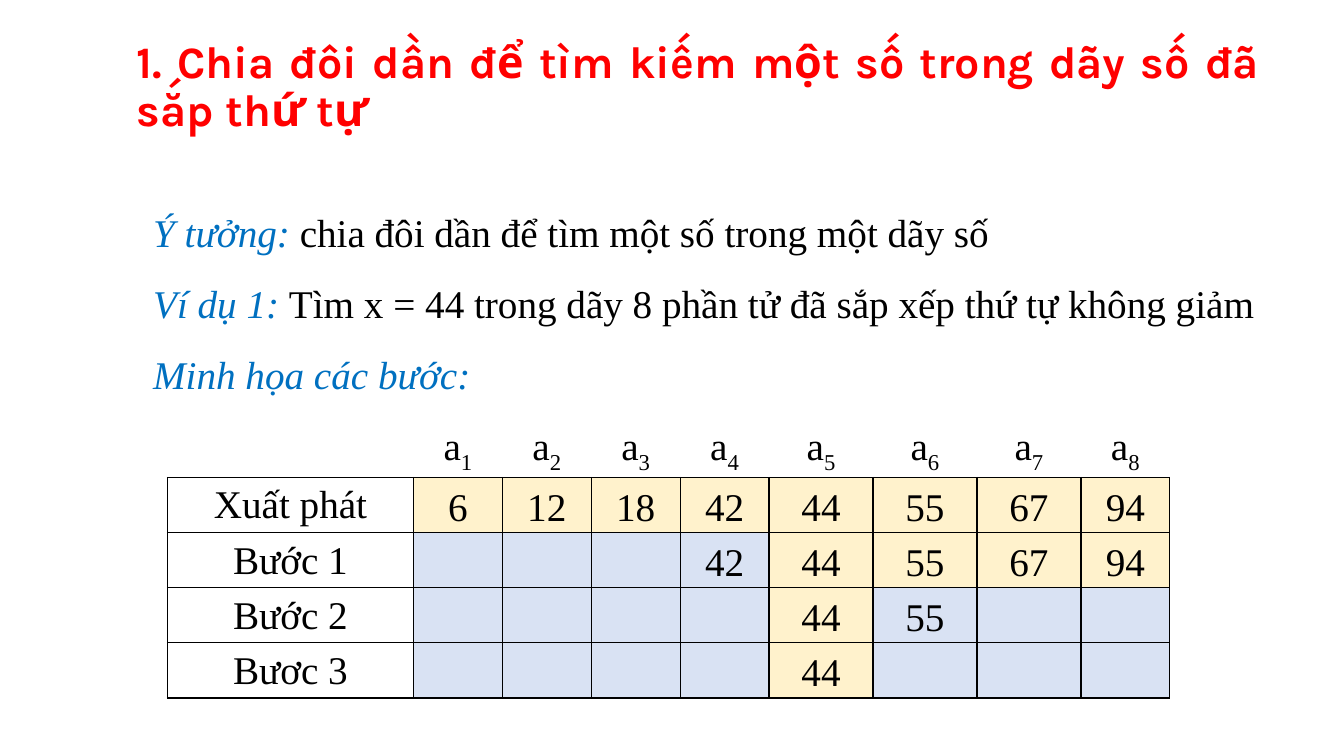
import pptx
import pptx.util
import pptx.dml.color
import pptx.enum.text
import pptx.oxml
import pptx.oxml.ns
from pptx.util import Cm

INK = {"red": "FF0000", "blue": "0070C0", "black": "000000",
       "live": "FFF2CC", "out": "D9E2F3"}
ALIGN = pptx.enum.text.PP_ALIGN
ANCHOR = pptx.enum.text.MSO_ANCHOR
NUMS = [6, 12, 18, 42, 44, 55, 67, 94]
WIDTHS = [6.2] + [2.24] * 4 + [2.62] * 3 + [2.24]
ROW = 1.39
STEPS = [("Xuất phát", range(0, 8), range(0, 8)),
         ("Bước 1", range(3, 8), range(4, 8)),
         ("Bước 2", range(4, 6), range(4, 5)),
         ("Bươc 3", range(4, 5), range(4, 5))]
IDEAS = [("Ý tưởng: ", "chia đôi dần để tìm một số trong một dãy số"),
         ("Ví dụ 1: ", "Tìm x = 44 trong dãy 8 phần tử đã sắp xếp thứ tự không giảm"),
         ("Minh họa các bước:", "")]


def put(para, text, size=28, face="Times New Roman", ink="black",
        bold=False, slant=False, base=0):
    """Add one run of text with its format to a paragraph."""
    run = para.add_run()
    run.text = text
    font = run.font
    font.size = pptx.util.Pt(size)
    font.name = face
    font.bold = bold
    font.italic = slant
    font.color.rgb = pptx.dml.color.RGBColor.from_string(INK[ink])
    if base:
        run._r.get_or_add_rPr().set("baseline", str(base * 1000))


def space(para, align, line=1.15, after=6, before=0):
    """Set the alignment and spacing of a paragraph."""
    para.alignment = align
    para.line_spacing = line
    para.space_after = pptx.util.Pt(after)
    para.space_before = pptx.util.Pt(before)


def box(slide, left, top, width, height):
    """Add a wrapping text box and return its frame."""
    shape = slide.shapes.add_textbox(Cm(left), Cm(top), Cm(width), Cm(height))
    shape.text_frame.word_wrap = True
    return shape.text_frame


def edge(cell, sides):
    """Draw thin black borders on the given sides of a cell."""
    props = cell._tc.get_or_add_tcPr()
    for side in sides:
        props.append(pptx.oxml.parse_xml(
            f'<a:ln{side} {pptx.oxml.ns.nsdecls("a")} w="12700"><a:solidFill>'
            f'<a:srgbClr val="{INK["black"]}"/></a:solidFill></a:ln{side}>'))


def fill(cell, text="", sub="", tint=None, sides="LRTB", anchor=ANCHOR.MIDDLE):
    """Give a cell its borders, fill and text."""
    edge(cell, sides)
    if tint:
        cell.fill.solid()
        cell.fill.fore_color.rgb = pptx.dml.color.RGBColor.from_string(INK[tint])
    else:
        cell.fill.background()
    cell.vertical_anchor = anchor
    cell.margin_left = cell.margin_right = Cm(0.18)
    cell.margin_top = cell.margin_bottom = 0
    if text:
        para = cell.text_frame.paragraphs[0]
        space(para, ALIGN.CENTER)
        put(para, text)
        if sub:
            put(para, sub, base=-25)


def title(slide):
    """Add the heading."""
    frame = box(slide, 3.2, 0.58, 28.78, 3.28)
    frame.vertical_anchor = ANCHOR.MIDDLE
    para = frame.paragraphs[0]
    space(para, ALIGN.JUSTIFY, line=0.9, after=0)
    put(para, "1. Chia đôi dần để tìm kiếm một số trong dãy số đã sắp thứ tự",
        size=32, face="Karla", ink="red", bold=True)


def ideas(slide):
    """Add the idea, the example and the lead-in to the table."""
    frame = box(slide, 3.61, 4.95, 28.37, 5.23)
    frame.auto_size = pptx.enum.text.MSO_AUTO_SIZE.SHAPE_TO_FIT_TEXT
    for i, (lead, rest) in enumerate(IDEAS):
        para = frame.add_paragraph() if i else frame.paragraphs[0]
        space(para, ALIGN.JUSTIFY, before=6 if i else 0)
        put(para, lead, ink="blue", slant=True)
        if rest:
            put(para, rest)


def search(slide):
    """Add the table of search steps."""
    rows = len(STEPS) + 1
    table = slide.shapes.add_table(rows, len(WIDTHS), Cm(4.22), Cm(10.48),
                                   Cm(sum(WIDTHS)), Cm(ROW * rows)).table
    table.first_row = table.horz_banding = False
    for col, width in zip(table.columns, WIDTHS):
        col.width = Cm(width)
    for row in table.rows:
        row.height = Cm(ROW)
    fill(table.cell(0, 0), sides="B")
    for i in range(len(NUMS)):
        fill(table.cell(0, i + 1), "a", sub=str(i + 1), sides="B")
    for r, (label, shown, live) in enumerate(STEPS, 1):
        fill(table.cell(r, 0), label, anchor=ANCHOR.TOP)
        for i, num in enumerate(NUMS):
            fill(table.cell(r, i + 1), str(num) if i in shown else "",
                 tint="live" if i in live else "out")


def main():
    """Build the slide and save it."""
    deck = pptx.Presentation()
    deck.slide_width, deck.slide_height = Cm(33.87), Cm(19.05)
    slide = deck.slides.add_slide(deck.slide_layouts[6])
    title(slide)
    ideas(slide)
    search(slide)
    deck.save("out.pptx")


if __name__ == "__main__":
    main()
